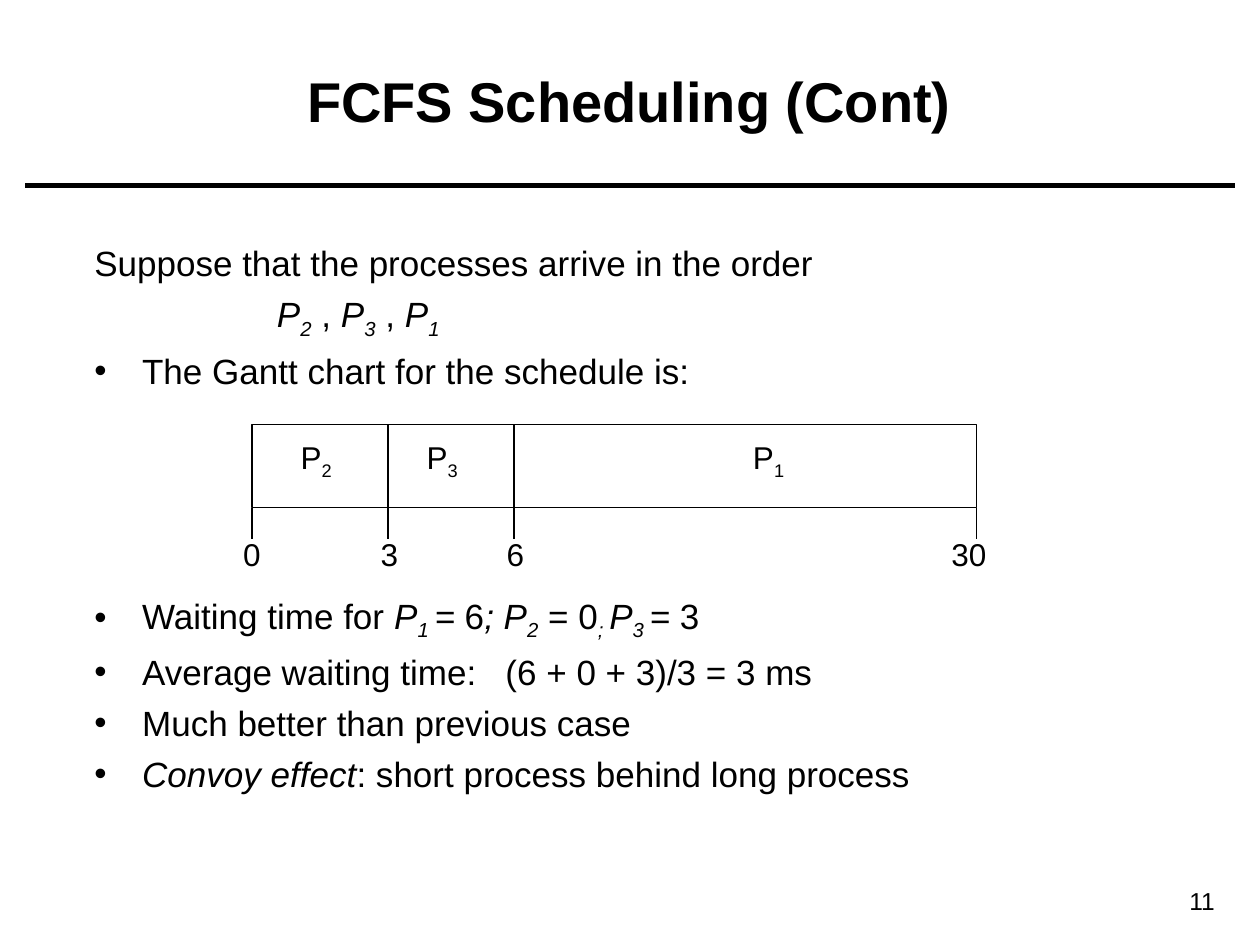
from dataclasses import dataclass

from pptx import Presentation
from pptx.dml.color import RGBColor
from pptx.enum.shapes import MSO_CONNECTOR, MSO_SHAPE
from pptx.enum.text import MSO_ANCHOR, PP_ALIGN
from pptx.oxml.ns import qn
from pptx.util import Inches, Pt

STRAIGHT = MSO_CONNECTOR.STRAIGHT
RECTANGLE = MSO_SHAPE.RECTANGLE
TOP, MIDDLE = MSO_ANCHOR.TOP, MSO_ANCHOR.MIDDLE
LEFT, CENTER, RIGHT = PP_ALIGN.LEFT, PP_ALIGN.CENTER, PP_ALIGN.RIGHT


@dataclass(frozen=True)
class Theme:
    font: str = "Arial"
    ink: RGBColor = RGBColor(0, 0, 0)
    paper: RGBColor = RGBColor(255, 255, 255)
    title_size: int = 32
    body_size: int = 20
    chart_size: int = 18
    number_size: int = 14
    rule_width: float = 3
    chart_line: float = 0.75


THEME = Theme()

# Span styles: "i" is italic, "s" is subscript.
ORDER = [("P", "i"), ("2", "is"), (" , ", ""), ("P", "i"), ("3", "is"),
         (" , ", ""), ("P", "i"), ("1", "is")]
WAITING = [("Waiting time for ", ""), ("P", "i"), ("1 ", "is"), ("=", "i"),
           (" 6", ""), ("; P", "i"), ("2", "is"), (" = 0", ""), ("; ", "is"),
           ("P", "i"), ("3 ", "is"), ("= ", "i"), ("3", "")]
CONVOY = [("Convoy effect", "i"), (": short process behind long process", "")]

# Each body line: spans, has a bullet, left margin (inches), space before (points).
BODY = [
    ([("Suppose that the processes arrive in the order", "")], False, 0, 0),
    (ORDER, False, 1.45, 5),
    ([("The Gantt chart for the schedule is:", "")], True, 0.38, 5),
    (WAITING, True, 0.38, 116),
    ([("Average waiting time:   (6 + 0 + 3)/3 = 3 ms", "")], True, 0.38, 5),
    ([("Much better than previous case", "")], True, 0.38, 5),
    (CONVOY, True, 0.38, 5),
]

BAR_TOP, BAR_BOTTOM, TICK_BOTTOM = 3.37, 4.03, 4.28
TICKS = [2, 3.08, 4.08, 7.75]
TIMES = [("0", 2), ("3", 3.09), ("6", 4.09), ("30", 7.69)]
PROCESSES = [("2", 2.51), ("3", 3.51), ("1", 6.1)]
LABEL_WIDTH = 0.7


def add_spans(para, spans, size, bold=False):
    for text, style in spans:
        span = para.add_run()
        span.text = text
        font = span.font
        font.name, font.size, font.bold = THEME.font, Pt(size), bold
        font.color.rgb = THEME.ink
        font.italic = "i" in style
        if "s" in style:
            span._r.get_or_add_rPr().set("baseline", "-25000")


def add_box(shapes, left, top, width, height, anchor=TOP):
    box = shapes.add_textbox(Inches(left), Inches(top), Inches(width), Inches(height))
    box.text_frame.word_wrap = True
    box.text_frame.vertical_anchor = anchor
    return box.text_frame


def add_label(shapes, spans, place, size, align=CENTER, anchor=MIDDLE, bold=False):
    """Add a text box that holds a single paragraph."""
    para = add_box(shapes, *place, anchor).paragraphs[0]
    para.alignment = align
    add_spans(para, spans, size, bold)


def add_chart_label(shapes, spans, center, top, height):
    place = (center - LABEL_WIDTH / 2, top, LABEL_WIDTH, height)
    add_label(shapes, spans, place, THEME.chart_size)


def add_line(shapes, start, end, width):
    line = shapes.add_connector(STRAIGHT, *map(Inches, start + end))
    line.line.color.rgb = THEME.ink
    line.line.width = Pt(width)
    properties = line._element.spPr
    properties.append(properties.makeelement(qn("a:effectLst"), {}))


def set_indent(para, margin, bullet):
    properties = para._p.get_or_add_pPr()
    properties.set("marL", str(Inches(margin)))
    properties.set("indent", str(-Inches(margin) if bullet else 0))
    if bullet:
        for tag, attributes in (("a:buFont", {"typeface": THEME.font}),
                                ("a:buChar", {"char": "•"})):
            properties.append(properties.makeelement(qn(tag), attributes))


def add_body(shapes):
    frame = add_box(shapes, 0.65, 1.87, 9, 4.96)
    for index, (spans, bullet, margin, space) in enumerate(BODY):
        para = frame.add_paragraph() if index else frame.paragraphs[0]
        set_indent(para, margin, bullet)
        para.alignment = LEFT
        if space:
            para.space_before = Pt(space)
        add_spans(para, spans, THEME.body_size)


def add_gantt(page):
    shapes = page.shapes.add_group_shape().shapes
    bar = shapes.add_shape(RECTANGLE, Inches(TICKS[0]), Inches(BAR_TOP),
                           Inches(TICKS[-1] - TICKS[0]), Inches(BAR_BOTTOM - BAR_TOP))
    bar.shadow.inherit = False
    bar.fill.solid()
    bar.fill.fore_color.rgb = THEME.paper
    bar.line.color.rgb = THEME.ink
    bar.line.width = Pt(THEME.chart_line)
    for number, center in PROCESSES:
        add_chart_label(shapes, [("P", ""), (number, "s")], center, 3.43, 0.44)
    for x in TICKS[1:-1]:
        add_line(shapes, (x, BAR_TOP), (x, BAR_BOTTOM), THEME.chart_line)
    for x in TICKS:
        add_line(shapes, (x, BAR_BOTTOM), (x, TICK_BOTTOM), THEME.chart_line)
    for time, center in TIMES:
        add_chart_label(shapes, [(time, "")], center, 4.2, 0.4)


def main():
    deck = Presentation()
    deck.slide_width, deck.slide_height = Inches(10), Inches(7.5)
    page = deck.slides.add_slide(deck.slide_layouts[6])
    add_line(page.shapes, (0.2, 1.47), (9.8, 1.47), THEME.rule_width)
    add_label(page.shapes, [("11", "")], (8.7, 6.98, 1.04, 0.34),
              THEME.number_size, RIGHT, TOP)
    add_label(page.shapes, [("FCFS Scheduling (Cont)", "")], (0.35, 0.17, 9.29, 1.25),
              THEME.title_size, bold=True)
    add_body(page.shapes)
    add_gantt(page)
    deck.save("out.pptx")


if __name__ == "__main__":
    main()
